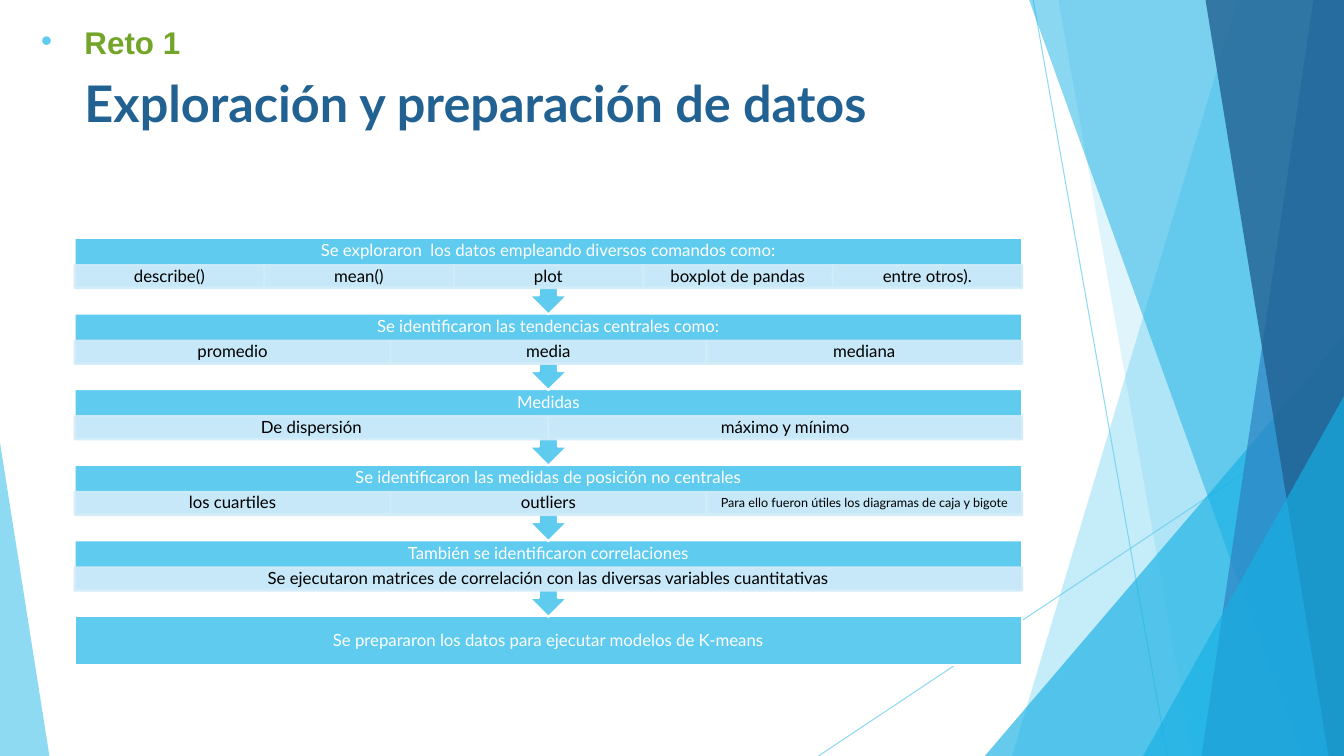
from lxml import etree
from pptx import Presentation
from pptx.dml.color import RGBColor
from pptx.enum import shapes, text
from pptx.oxml import ns
from pptx.util import Pt

SKY = RGBColor(0x5F, 0xCB, 0xEF)
CYAN = RGBColor(0x17, 0xB0, 0xE4)
BLUE = RGBColor(0x2E, 0x83, 0xC3)
NAVY = RGBColor(0x22, 0x62, 0x92)
PALE = RGBColor(0xD2, 0xEC, 0xF9)
GREEN = RGBColor(0x72, 0xA5, 0x28)
WHITE = RGBColor(0xFF, 0xFF, 0xFF)
BLACK = RGBColor(0, 0, 0)

KIND = shapes.MSO_SHAPE
WIDE, HIGH = 960, 540
LEFT, SPAN = 53.28, 676.8
TOP, STEP = 169.92, 54
HEAD, CELL, CALL, LAST = 19.44, 16.56, 54.72, 35.28

STEPS = [
    ("Se exploraron  los datos empleando diversos comandos como:",
     ["describe()", "mean()", "plot", "boxplot de pandas", "entre otros)."]),
    ("Se identificaron las tendencias centrales como:",
     ["promedio", "media", "mediana"]),
    ("Medidas", ["De dispersión", "máximo y mínimo"]),
    ("Se identificaron las medidas de posición no centrales",
     ["los cuartiles", "outliers",
      "Para ello fueron útiles los diagramas de caja y bigote"]),
    ("También se identificaron correlaciones",
     ["Se ejecutaron matrices de correlación con las diversas variables cuantitativas"]),
]
GOAL = "Se prepararon los datos para ejecutar modelos de K-means"


def add_xml(node, tag, **attrs):
    return etree.SubElement(node, ns.qn(tag), attrs)


def fade(item, alpha):
    for color in item._element.spPr.iter(ns.qn("a:srgbClr")):
        add_xml(color, "a:alpha", val=str(alpha * 1000))


def paint(item, fill, line=None, alpha=100):
    item.shadow.inherit = False
    item.fill.solid()
    item.fill.fore_color.rgb = fill
    if line is None:
        item.line.fill.background()
    else:
        item.line.color.rgb = line
        item.line.width = Pt(1.5)
    if alpha < 100:
        fade(item, alpha)


def write(item, words, color, size=12, font="Lato", bold=False,
          align=text.PP_ALIGN.CENTER, anchor=text.MSO_ANCHOR.MIDDLE,
          pad=(6.5, 0), lead=0.9):
    frame = item.text_frame
    side, edge = map(Pt, pad)
    look = {"word_wrap": True, "vertical_anchor": anchor,
            "margin_left": side, "margin_right": side,
            "margin_top": edge, "margin_bottom": edge}
    for name, value in look.items():
        setattr(frame, name, value)
    para = frame.paragraphs[0]
    para.alignment = align
    para.line_spacing = lead
    run = para.add_run()
    run.text = words
    run.font.color.rgb = color
    for name, value in {"size": Pt(size), "name": font, "bold": bold}.items():
        setattr(run.font, name, value)
    return para


def add_box(slide, kind, place, *style):
    box = slide.shapes.add_shape(kind, *map(Pt, place))
    paint(box, *style)
    return box


def add_text(slide, place, words, color, **style):
    return write(slide.shapes.add_textbox(*map(Pt, place)), words, color, **style)


def add_line(slide, ends):
    line = slide.shapes.add_connector(shapes.MSO_CONNECTOR.STRAIGHT, *map(Pt, ends))
    line.line.color.rgb = SKY
    line.line.width = Pt(0.75)
    fade(line, 70)
    add_xml(line._element.spPr, "a:effectLst")


def add_band(slide, top, foot, right, color, alpha):
    path = slide.shapes.build_freeform(Pt(top), 0, scale=1.0)
    path.add_line_segments([(Pt(x), Pt(y)) for x, y in
                            [(WIDE, 0), (WIDE, HIGH), (foot, HIGH)]], close=True)
    paint(path.convert_to_shape(), color, None, alpha)


def add_peak(slide, place, tip, color, alpha):
    peak = add_box(slide, KIND.ISOSCELES_TRIANGLE, place, color, None, alpha)
    peak.adjustments[0] = tip


def add_decor(slide):
    add_line(slide, (738, 0, 833.76, HIGH))
    add_line(slide, (WIDE, 290.16, 584.64, HIGH))
    add_band(slide, 884.16, 722.88, WIDE, SKY, 36)
    add_band(slide, 756, 851.76, WIDE, SKY, 20)
    add_peak(slide, (703.44, 239.76, 256.56, 300.24), 1, CYAN, 66)
    add_band(slide, 735.12, 929.52, WIDE, CYAN, 50)
    add_band(slide, 938.16, 858.24, WIDE, BLUE, 70)
    add_band(slide, 861.12, 948.96, WIDE, NAVY, 80)
    add_peak(slide, (816.48, 282.96, 143.52, 257.04), 1, CYAN, 66)
    add_peak(slide, (0, 316.08, 35.28, 223.92), 0, SKY, 70)


def add_step(slide, top, head, cells):
    call = add_box(slide, KIND.UP_ARROW_CALLOUT, (LEFT, top, SPAN, CALL), SKY, WHITE)
    call.rotation = 180
    add_text(slide, (LEFT, top, SPAN, HEAD), head, WHITE)
    width = SPAN / len(cells)
    for col, words in enumerate(cells):
        place = (LEFT + col * width, top + HEAD, width, CELL)
        cell = add_box(slide, KIND.RECTANGLE, place, PALE, PALE, 90)
        tight = len(cells) > 1 and len(words) > 30
        write(cell, words, BLACK, size=9 if tight else 12, pad=(5, 0))


def add_bullet(para):
    props = para._p.get_or_add_pPr()
    props.set("marL", str(Pt(36)))
    props.set("indent", str(Pt(-31)))
    tint = add_xml(props, "a:buClr")
    add_xml(tint, "a:srgbClr", val=str(SKY))
    add_xml(props, "a:buFont", typeface="Arial")
    add_xml(props, "a:buChar", char="•")


def main():
    deck = Presentation()
    deck.slide_width, deck.slide_height = Pt(WIDE), Pt(HIGH)
    slide = deck.slides.add_slide(deck.slide_layouts[6])
    add_decor(slide)
    plain = {"bold": True, "align": text.PP_ALIGN.LEFT,
             "anchor": text.MSO_ANCHOR.TOP, "pad": (7.2, 3.6)}
    add_text(slide, (LEFT, 48.24, SPAN, 103.68), "Exploración y preparación de datos",
             NAVY, size=36, lead=1.0, **plain)
    goal = add_box(slide, KIND.RECTANGLE,
                   (LEFT, TOP + len(STEPS) * STEP, SPAN, LAST), SKY, WHITE)
    write(goal, GOAL, WHITE)
    for row, (head, cells) in reversed(list(enumerate(STEPS))):
        add_step(slide, TOP + row * STEP, head, cells)
    reto = add_text(slide, (17.28, 20.16, 319.68, 40.32), "Reto 1", GREEN,
                    size=22.4, font="Arial", lead=0.7, **plain)
    reto.space_before = Pt(14)
    add_bullet(reto)
    deck.save("out.pptx")


if __name__ == "__main__":
    main()
